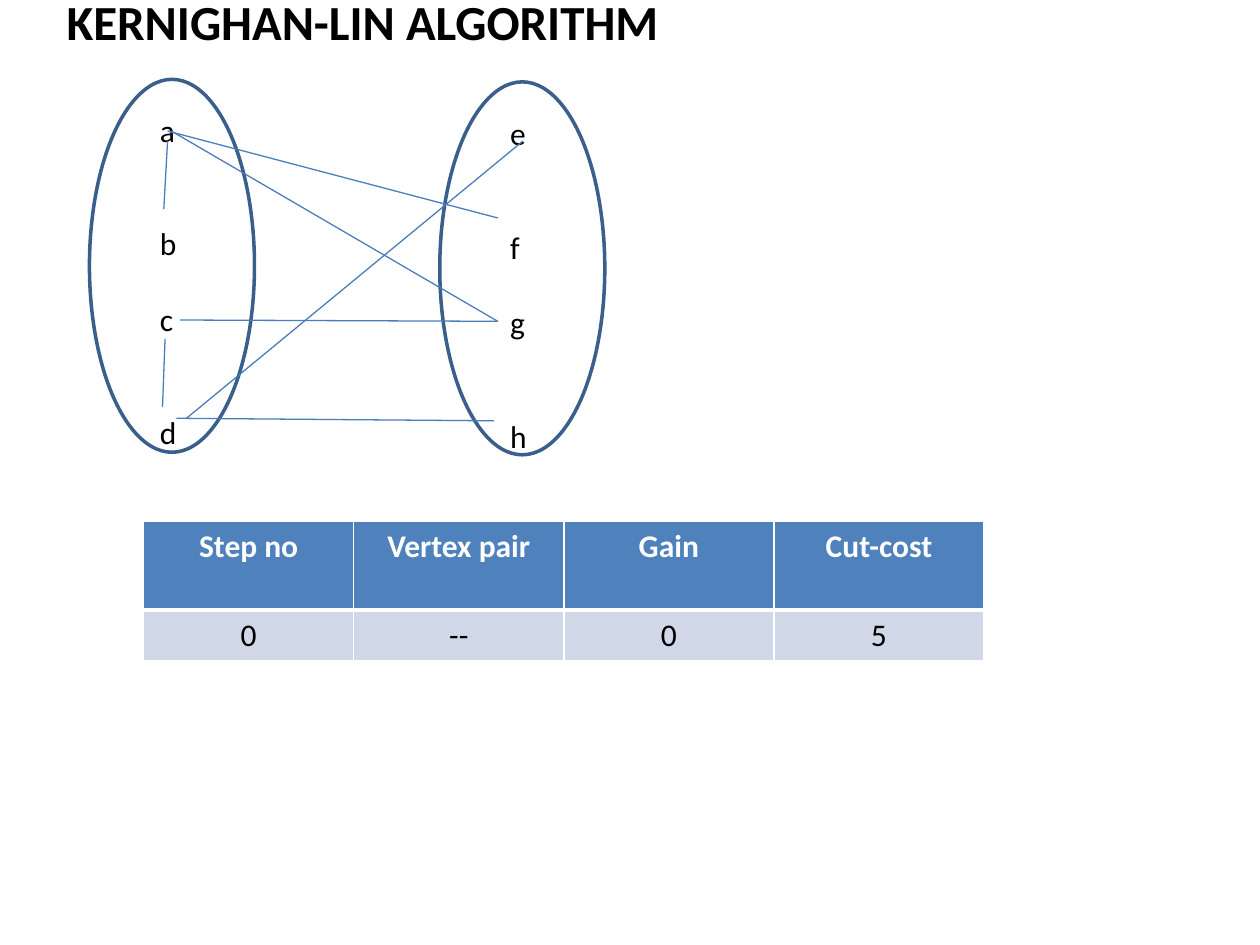
"""Build the Kernighan-Lin slide: two vertex sets, their edges and the gain table."""
from lxml.etree import SubElement
from pptx import Presentation
from pptx.dml.color import RGBColor
from pptx.enum.shapes import MSO_CONNECTOR, MSO_SHAPE
from pptx.enum.text import MSO_AUTO_SIZE, PP_ALIGN
from pptx.oxml.ns import qn
from pptx.util import Inches, Pt

BLACK = RGBColor(0, 0, 0)
WHITE = RGBColor(255, 255, 255)
NAVY = RGBColor(0x3A, 0x5F, 0x8B)
EDGE = RGBColor(0x4A, 0x7E, 0xBB)
HEAD = RGBColor(0x4F, 0x81, 0xBD)
PALE = RGBColor(0xD0, 0xD8, 0xE7)


def add_run(para, text, size, color, bold=False):
    run = para.add_run()
    run.text = text
    run.font.name = "Calibri"
    run.font.size = Pt(size)
    run.font.bold = bold
    run.font.color.rgb = color


def add_border(cell, side, width):
    line = SubElement(cell._tc.get_or_add_tcPr(), qn(f"a:ln{side}"), w=str(Pt(width)))
    fill = SubElement(line, qn("a:solidFill"))
    SubElement(fill, qn("a:srgbClr"), val=str(WHITE))


prs = Presentation()
prs.slide_width, prs.slide_height = Inches(10), Inches(7.5)
slide = prs.slides.add_slide(prs.slide_layouts[6])
graph = slide.shapes.add_group_shape().shapes

LINE = 21.6
GAPS = [0, 2, 1, 2]
for names, left, top in [("abcd", 1.17, 0.83), ("efgh", 3.95, 0.86)]:
    box = graph.add_textbox(Inches(left), Inches(top), Inches(0.39), Inches(3.1))
    frame = box.text_frame
    frame.word_wrap = True
    for num, (name, gap) in enumerate(zip(names, GAPS)):
        para = frame.add_paragraph() if num else frame.paragraphs[0]
        para.space_before = Pt(gap * LINE)
        add_run(para, name, 18, BLACK)

for left, top in [(0.71, 0.63), (3.49, 0.65)]:
    oval = graph.add_shape(MSO_SHAPE.OVAL, Inches(left), Inches(top), Inches(1.31), Inches(2.96))
    oval.shadow.inherit = False
    oval.fill.background()
    oval.line.color.rgb = NAVY
    oval.line.width = Pt(2)

EDGES = [
    (1.33, 1.04, 3.95, 1.73),
    (1.36, 1.04, 3.95, 2.55),
    (1.33, 1.12, 1.3, 1.66),
    (1.43, 2.54, 3.95, 2.55),
    (1.4, 3.32, 3.92, 3.34),
    (1.48, 3.32, 4.15, 1.12),
    (1.31, 2.69, 1.29, 3.23),
]
for ends in EDGES:
    edge = graph.add_connector(MSO_CONNECTOR.STRAIGHT, *map(Inches, ends))
    edge.line.color.rgb = EDGE
    edge.line.width = Pt(0.75)
    SubElement(edge._element.spPr, qn("a:effectLst"))

title = slide.shapes.add_textbox(Inches(0.43), Inches(-0.12), Inches(7.68), Inches(0.57))
title.text_frame.word_wrap = True
title.text_frame.auto_size = MSO_AUTO_SIZE.SHAPE_TO_FIT_TEXT
add_run(title.text_frame.paragraphs[0], "KERNIGHAN-LIN ALGORITHM", 28, BLACK, True)

ROWS = [["Step no", "Vertex pair", "Gain", "Cut-cost"], ["0", "--", "0", "5"]]
STYLES = [
    (0.7, HEAD, WHITE, True, {"L": 0.96, "R": 0.96, "T": 0.96, "B": 3}),
    (0.4, PALE, BLACK, False, {"L": 0.96, "R": 0.96, "T": 3, "B": 0.96}),
]
table = slide.shapes.add_table(2, 4, Inches(1.14), Inches(4.14), Inches(6.67), Inches(1.1)).table
for row, texts, (height, back, ink, bold, sides) in zip(table.rows, ROWS, STYLES):
    row.height = Inches(height)
    for cell, text in zip(row.cells, texts):
        for side, width in sides.items():
            add_border(cell, side, width)
        cell.fill.solid()
        cell.fill.fore_color.rgb = back
        para = cell.text_frame.paragraphs[0]
        para.alignment = PP_ALIGN.CENTER
        add_run(para, text, 18, ink, bold)

prs.save("out.pptx")
